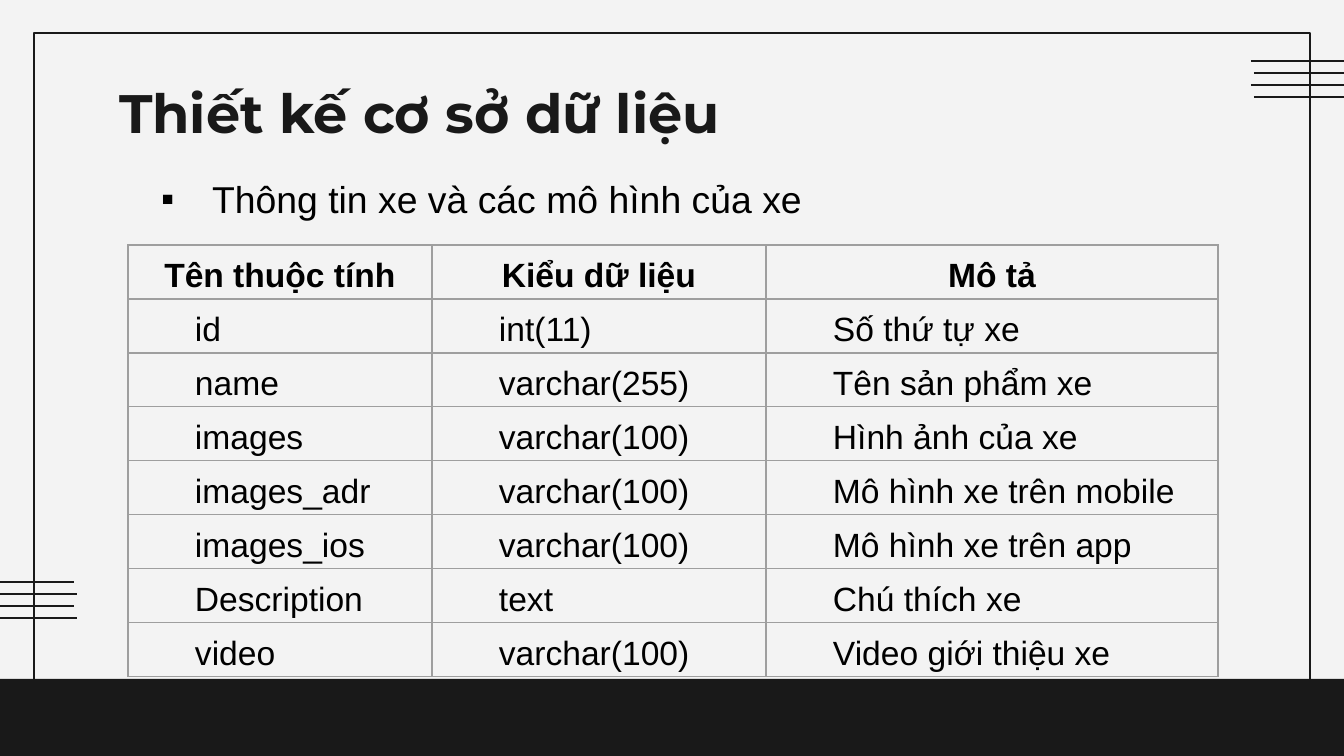
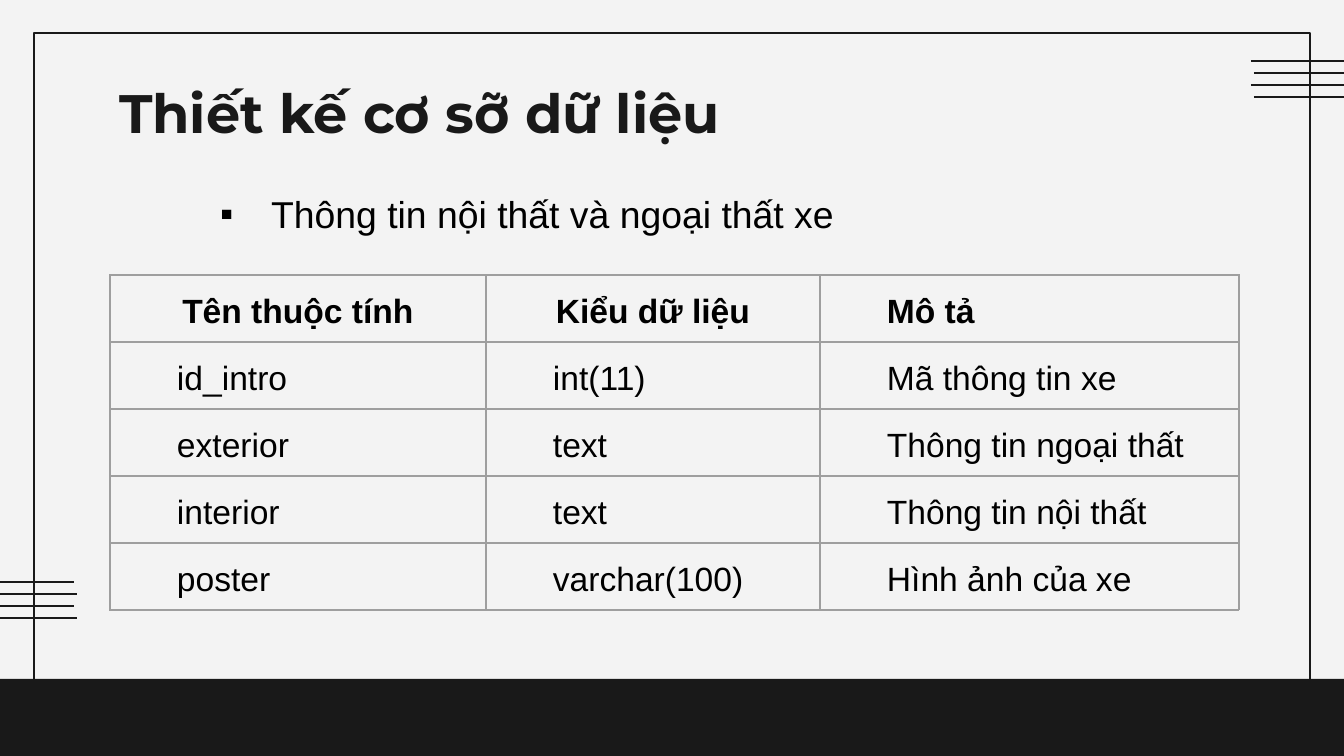
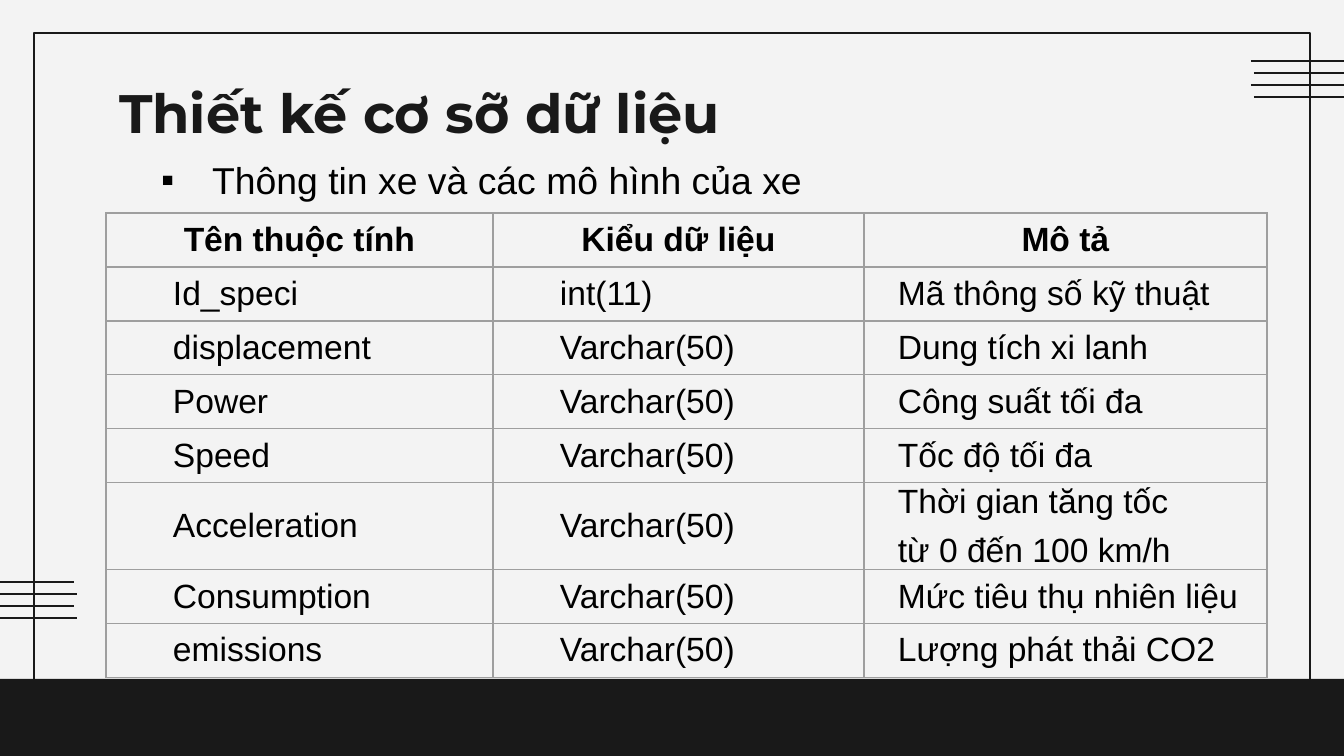
from lxml.etree import SubElement
from pptx import Presentation
from pptx.dml.color import RGBColor
from pptx.enum.shapes import MSO_CONNECTOR, MSO_SHAPE
from pptx.enum.text import MSO_ANCHOR, MSO_AUTO_SIZE, PP_ALIGN
from pptx.oxml.ns import qn
from pptx.util import Emu, Pt

EMU_PER_PX = 914400 / 134.4
SLIDE_WIDTH, SLIDE_HEIGHT = 1344, 756
BAND_TOP = 679
INSET = 13
BULLET_INDENT = 51
COLORS = {"paper": "F3F3F3", "ink": "191919", "text": "000000", "grid": "9E9E9E"}
LEFT, CENTER, JUSTIFY = PP_ALIGN.LEFT, PP_ALIGN.CENTER, PP_ALIGN.JUSTIFY
HEADERS = ("Tên thuộc tính", "Kiểu dữ liệu", "Mô tả")

CAR_ROWS = [
    HEADERS,
    ("id", "int(11)", "Số thứ tự xe"),
    ("name", "varchar(255)", "Tên sản phẩm xe"),
    ("images", "varchar(100)", "Hình ảnh của xe"),
    ("images_adr", "varchar(100)", "Mô hình xe trên mobile"),
    ("images_ios", "varchar(100)", "Mô hình xe trên app"),
    ("Description", "text", "Chú thích xe"),
    ("video", "varchar(100)", "Video giới thiệu xe"),
]
INTRO_ROWS = [
    HEADERS,
    ("id_intro", "int(11)", "Mã thông tin xe"),
    ("exterior", "text", "Thông tin ngoại thất"),
    ("interior", "text", "Thông tin nội thất"),
    ("poster", "varchar(100)", "Hình ảnh của xe"),
]
SPECIFICATION_ROWS = [
    HEADERS,
    ("Id_speci", "int(11)", "Mã thông số kỹ thuật"),
    ("displacement", "Varchar(50)", "Dung tích xi lanh"),
    ("Power", "Varchar(50)", "Công suất tối đa"),
    ("Speed", "Varchar(50)", "Tốc độ tối đa"),
    ("Acceleration", "Varchar(50)", "Thời gian tăng tốc\ntừ 0 đến 100 km/h"),
    ("Consumption", "Varchar(50)", "Mức tiêu thụ nhiên liệu"),
    ("emissions", "Varchar(50)", "Lượng phát thải CO2"),
]


def px(length):
    return Emu(round(length * EMU_PER_PX))


def color(name):
    return RGBColor.from_string(COLORS[name])


def write_text(text_frame, text, size=18, font="Arial", color_name="text", bold=False,
               align=LEFT, margin=0, indent=0, line_spacing=None, bullet=None):
    for number, line in enumerate(text.split("\n")):
        paragraph = text_frame.add_paragraph() if number else text_frame.paragraphs[0]
        properties = paragraph._p.get_or_add_pPr()
        properties.set("marL", str(px(margin)))
        properties.set("indent", str(px(indent)))
        if bullet:
            bullet_color = SubElement(properties, qn("a:buClr"))
            SubElement(bullet_color, qn("a:srgbClr"), val=COLORS[color_name])
            SubElement(properties, qn("a:buFont"), typeface=font)
            SubElement(properties, qn("a:buChar"), char=bullet)
        paragraph.alignment = align
        paragraph.line_spacing = line_spacing
        if number:
            paragraph.space_before = Pt(6)
        run = paragraph.add_run()
        run.text = line
        run.font.size = Pt(size)
        run.font.name = font
        run.font.bold = bold
        run.font.color.rgb = color(color_name)


def prepare_frame(text_frame, anchor):
    text_frame.word_wrap = True
    text_frame.auto_size = MSO_AUTO_SIZE.NONE
    text_frame.vertical_anchor = anchor
    text_frame.margin_left = text_frame.margin_right = px(INSET)
    text_frame.margin_top = text_frame.margin_bottom = px(INSET)


def add_rectangle(slide, left, top, width, height, fill, line=None):
    shape = slide.shapes.add_shape(MSO_SHAPE.RECTANGLE, px(left), px(top), px(width), px(height))
    shape.shadow.inherit = False
    shape.fill.solid()
    shape.fill.fore_color.rgb = color(fill)
    if line:
        shape.line.color.rgb = color(line)
        shape.line.width = Pt(0.75)
    else:
        shape.line.fill.background()
    return shape


def add_stripes(slide, left, top, length=101, gap=12, shift=3):
    stripes = []
    for number in range(4):
        start = left + shift * (number % 2)
        height = px(top + gap * number)
        stripe = slide.shapes.add_connector(
            MSO_CONNECTOR.STRAIGHT, px(start), height, px(start + length), height)
        stripe.line.color.rgb = color("ink")
        stripe.line.width = Pt(0.75)
        SubElement(stripe._element.spPr, qn("a:effectLst"))
        stripes.append(stripe)
    return stripes


def decorate_layout(layout, slide):
    layout.background.fill.solid()
    layout.background.fill.fore_color.rgb = color("paper")
    for placeholder in list(layout.placeholders):
        if placeholder.placeholder_format.idx:
            layout.shapes.element.remove(placeholder.element)
    decorations = [
        add_rectangle(slide, 34, 33, 1276, 690, "paper", "ink"),
        add_rectangle(slide, 0, BAND_TOP, SLIDE_WIDTH, SLIDE_HEIGHT - BAND_TOP, "ink"),
        *add_stripes(slide, 1251, 61),
        *add_stripes(slide, -27, 582),
    ]
    for shape in decorations:
        layout.shapes.element.append(shape.element)


def set_title(slide, text):
    title = slide.shapes.title
    title.left, title.top, title.width, title.height = px(106), px(66), px(1133), px(85)
    prepare_frame(title.text_frame, MSO_ANCHOR.TOP)
    write_text(title.text_frame, text, size=29, font="Montserrat", color_name="ink", bold=True)


def add_subtitle(slide, text, left, top):
    box = slide.shapes.add_textbox(px(left), px(top), px(673), px(66))
    prepare_frame(box.text_frame, MSO_ANCHOR.BOTTOM)
    write_text(box.text_frame, text, size=20, margin=BULLET_INDENT,
               indent=-BULLET_INDENT, bullet="▪")


def format_cell(cell):
    cell.margin_left = cell.margin_right = cell.margin_top = cell.margin_bottom = 0
    cell.vertical_anchor = MSO_ANCHOR.MIDDLE
    properties = cell._tc.get_or_add_tcPr()
    for side in ("lnL", "lnR", "lnT", "lnB"):
        border = SubElement(properties, qn(f"a:{side}"), w=str(Pt(0.75)))
        fill = SubElement(border, qn("a:solidFill"))
        SubElement(fill, qn("a:srgbClr"), val=COLORS["grid"])
    cell.fill.background()


def add_schema_table(slide, rows, left, top, columns, row_height, line_spacing=None):
    width = sum(column[0] for column in columns)
    table = slide.shapes.add_table(len(rows), len(columns), px(left), px(top),
                                   px(width), px(row_height * len(rows))).table
    table.horz_banding = False
    for row_number, row in enumerate(rows):
        two_lines = any("\n" in text for text in row)
        table.rows[row_number].height = px(86 if two_lines else row_height)
        is_header = row_number == 0
        for column_number, (text, column) in enumerate(zip(row, columns)):
            column_width, header_align, body_align, indent = column
            table.columns[column_number].width = px(column_width)
            align = header_align if is_header else body_align
            cell = table.cell(row_number, column_number)
            format_cell(cell)
            write_text(cell.text_frame, text, bold=is_header, align=align,
                       indent=0 if align == CENTER else indent, line_spacing=line_spacing)


def main():
    presentation = Presentation()
    presentation.slide_width, presentation.slide_height = px(SLIDE_WIDTH), px(SLIDE_HEIGHT)
    layout = presentation.slide_layouts[5]
    car, intro, specification = [presentation.slides.add_slide(layout) for _ in range(3)]
    decorate_layout(layout, car)

    set_title(car, "Thiết kế cơ sở dữ liệu")
    add_schema_table(car, CAR_ROWS, 128, 245, [
        (304, CENTER, JUSTIFY, 67), (334, CENTER, JUSTIFY, 67), (452, CENTER, JUSTIFY, 67),
    ], 54, line_spacing=1.2)
    add_subtitle(car, "Thông tin xe và các mô hình của xe", 148, 168)

    set_title(intro, "Thiết kế cơ sỡ dữ liệu")
    add_schema_table(intro, INTRO_ROWS, 110, 275, [
        (376, CENTER, JUSTIFY, 67), (334, CENTER, JUSTIFY, 67), (419, JUSTIFY, JUSTIFY, 67),
    ], 67, line_spacing=1.2)
    add_subtitle(intro, "Thông tin nội thất và ngoại thất xe", 207, 183)

    set_title(specification, "Thiết kế cơ sỡ dữ liệu")
    add_schema_table(specification, SPECIFICATION_ROWS, 106, 213, [
        (387, CENTER, JUSTIFY, 67), (371, CENTER, JUSTIFY, 67), (403, CENTER, LEFT, 34),
    ], 54)
    add_subtitle(specification, "Thông tin xe và các mô hình của xe", 148, 149)

    presentation.save("out.pptx")


if __name__ == "__main__":
    main()
